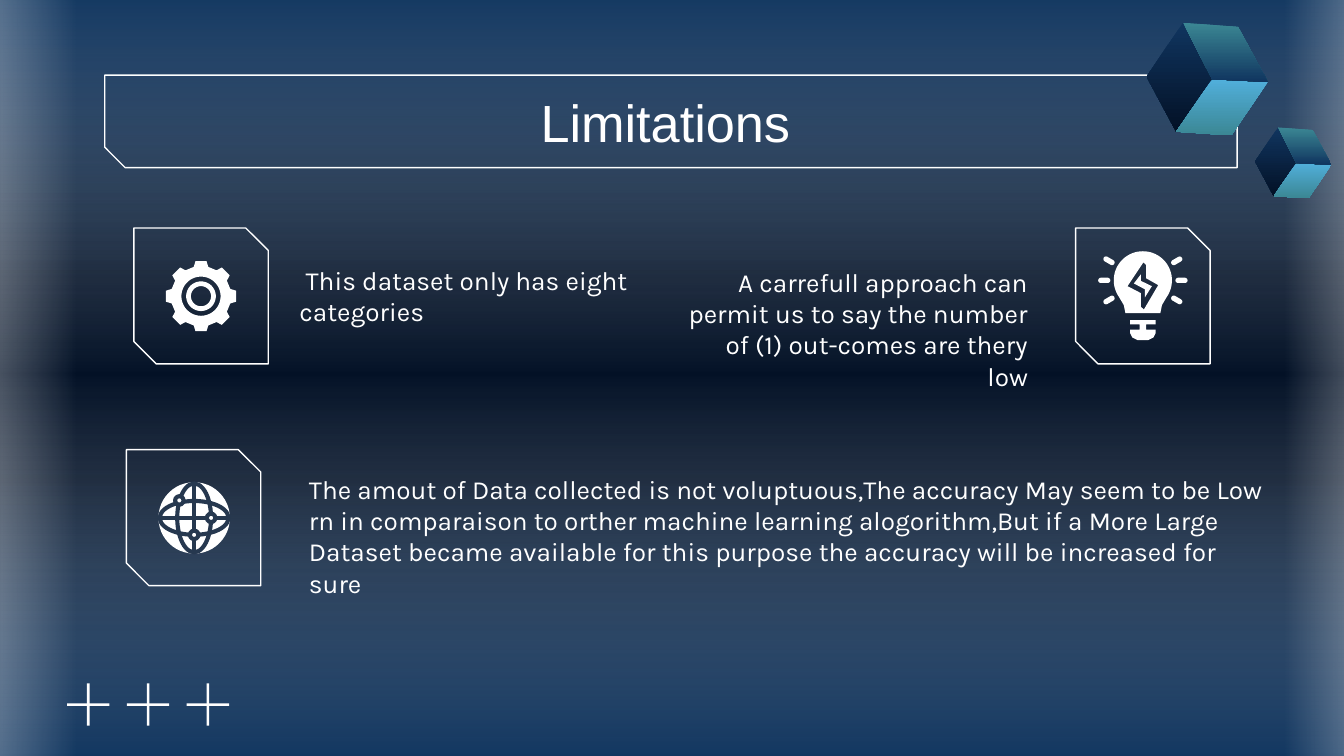
"""Build the Limitations slide with three framed icons and a gradient backdrop."""
from dataclasses import dataclass
from itertools import product
from math import cos, radians, sin

from lxml import etree
from pptx import Presentation
from pptx.dml.color import RGBColor
from pptx.enum.shapes import MSO_CONNECTOR, MSO_SHAPE
from pptx.enum.text import MSO_ANCHOR, PP_ALIGN
from pptx.oxml.ns import qn
from pptx.util import Cm, Pt

RECTANGLE, OVAL = MSO_SHAPE.RECTANGLE, MSO_SHAPE.OVAL
ROUNDED, SNIPPED = MSO_SHAPE.ROUNDED_RECTANGLE, MSO_SHAPE.SNIP_2_DIAG_RECTANGLE
STRAIGHT = MSO_CONNECTOR.STRAIGHT
LEFT, CENTER, RIGHT = PP_ALIGN.LEFT, PP_ALIGN.CENTER, PP_ALIGN.RIGHT
TOP, MIDDLE = MSO_ANCHOR.TOP, MSO_ANCHOR.MIDDLE
WHITE, NAVY, NIGHT, SKY, TEAL = "FFFFFF", "10355F", "031126", "51AFDB", "3B8794"
GLOBE_LINE = "26384F"
DOWNWARD, RIGHTWARD, LEFTWARD = 270, 0, 180

Point = tuple[float, float]


@dataclass
class Stop:
    position: int
    color: str
    opacity: int = 100


@dataclass
class Box:
    left: float
    top: float
    width: float
    height: float

    def lengths(self) -> list:
        return [Cm(value) for value in (self.left, self.top, self.width, self.height)]


@dataclass
class Note:
    text: str
    box: Box
    align: PP_ALIGN = LEFT


@dataclass
class Cube:
    left: float
    top: float
    scale: float


NOTES = [
    Note(" This dataset only has eight categories", Box(5.66, 4.75, 6.43, 1.75)),
    Note("A carrefull approach can permit us to say the number of (1) out-comes are thery low",
         Box(12.98, 4.78, 6.45, 1.35), RIGHT),
    Note("The amout of Data collected is not voluptuous,The accuracy May seem to be Low rn in "
         "comparaison to orther machine learning alogorithm,But if a More Large Dataset became "
         "available for this purpose the accuracy will be increased for sure",
         Box(5.84, 8.69, 18.08, 4.45)),
]
ICON_FRAMES = [Box(left, top, 2.54, 2.57) for left, top in ((2.53, 4.31), (2.39, 8.5), (20.33, 4.31))]
TITLE_FRAME = Box(1.98, 1.42, 21.4, 1.75)
CUBES = [Cube(21.67, 0.43, 1), Cube(23.72, 2.41, 0.63)]
CUBE_FACES = [
    ([(0.69, 0), (0, 1.02), (0.56, 2.06), (1.24, 1.07)], NAVY, NIGHT),
    ([(1.24, 1.07), (2.29, 1.12), (1.6, 2.13), (0.56, 2.06)], SKY, TEAL),
    ([(0.69, 0), (1.73, 0.08), (2.29, 1.12), (1.24, 1.07)], TEAL, NAVY),
]
BOLT_GAP = [(0.01, -0.34), (0.06, -0.29), (0.06, -0.04), (0.29, 0.09),
            (0.02, 0.55), (-0.04, 0.5), (-0.04, 0.24), (-0.29, 0.11)]
BOLT = [(-0.04, -0.11), (-0.17, 0.06), (0.04, 0.17), (0.04, 0.32), (0.17, 0.11), (-0.04, 0.01)]
SOCKET_HALF = [(0.24, 0.75), (0.24, 0.83), (0.06, 0.83), (0.06, 0.93),
               (0.24, 0.93), (0.24, 1), (0.2, 1.08), (0.1, 1.13)]


def rgb(color: str) -> RGBColor:
    return RGBColor.from_string(color)


def paint_gradient(fill, element, stops: list[Stop], angle: int) -> None:
    fill.gradient()
    fill.gradient_angle = angle
    stop_list = next(element.iter(qn("a:gsLst")))
    for child in list(stop_list):
        stop_list.remove(child)
    for stop in stops:
        node = etree.SubElement(stop_list, qn("a:gs"), pos=str(stop.position * 1000))
        color = etree.SubElement(node, qn("a:srgbClr"), val=stop.color)
        if stop.opacity < 100:
            etree.SubElement(color, qn("a:alpha"), val=str(stop.opacity * 1000))


def style(shape, fill: str | None = None, line: str | None = None, weight: float = 0.75) -> None:
    shape.shadow.inherit = False
    if fill:
        shape.fill.solid()
        shape.fill.fore_color.rgb = rgb(fill)
    else:
        shape.fill.background()
    if line:
        shape.line.color.rgb = rgb(line)
        shape.line.width = Pt(weight)
    else:
        shape.line.fill.background()


def add_preset(shapes, kind: MSO_SHAPE, box: Box, **format):
    shape = shapes.add_shape(kind, *box.lengths())
    style(shape, **format)
    return shape


def add_centered(shapes, kind: MSO_SHAPE, center: Point, width: float, height: float, **format):
    box = Box(center[0] - width / 2, center[1] - height / 2, width, height)
    return add_preset(shapes, kind, box, **format)


def add_outline(shapes, origin: Point, contours: list[list[Point]], scale: float = 1):
    placed = [[(Cm(origin[0] + x * scale), Cm(origin[1] + y * scale)) for x, y in contour]
              for contour in contours]
    builder = shapes.build_freeform(*placed[0][0])
    for index, contour in enumerate(placed):
        if index:
            builder.move_to(*contour[0])
        builder.add_line_segments(contour[1:], close=True)
    shape = builder.convert_to_shape()
    style(shape, fill=WHITE)
    return shape


def polar(radius: float, degrees: float) -> Point:
    return radius * cos(radians(degrees)), radius * sin(radians(degrees))


def arc(radius: float, start: int = 0, end: int = 355) -> list[Point]:
    return [polar(radius, degrees) for degrees in range(start, end + 1, 5)]


def write(shape, text: str, *, size: float, font: str, align: PP_ALIGN, anchor: MSO_ANCHOR = TOP,
          side_inset: float = 0) -> None:
    frame = shape.text_frame
    frame.word_wrap = True
    frame.vertical_anchor = anchor
    frame.margin_left = frame.margin_right = Cm(side_inset)
    frame.margin_top = frame.margin_bottom = Cm(0.25)
    paragraph = frame.paragraphs[0]
    paragraph.alignment = align
    run = paragraph.add_run()
    run.text = text
    run.font.size, run.font.name = Pt(size), font
    run.font.color.rgb = rgb(WHITE)


def draw_backdrop(slide) -> None:
    paint_gradient(slide.background.fill, slide.element,
                   [Stop(0, NAVY), Stop(37, NIGHT), Stop(63, NIGHT), Stop(100, NAVY)], DOWNWARD)
    glow = [Stop(0, WHITE, 47), Stop(100, WHITE, 0)]
    veil = [Stop(0, NAVY, 59), Stop(50, WHITE, 0), Stop(100, NAVY, 59)]
    for box, stops, angle in ((Box(0, -0.33, 25.93, 14.76), veil, DOWNWARD),
                              (Box(-1.04, -0.23, 2.49, 14.73), glow, RIGHTWARD),
                              (Box(24.28, -0.33, 2.16, 14.73), glow, LEFTWARD)):
        shape = add_preset(slide.shapes, RECTANGLE, box)
        paint_gradient(shape.fill, shape.element, stops, angle)


def draw_gear(shapes, center: Point) -> None:
    teeth = [polar(radius, tooth + offset) for tooth in range(0, 360, 45)
             for offset, radius in ((-14, 0.57), (-9, 0.67), (9, 0.67), (14, 0.57))]
    add_outline(shapes, center, [teeth, arc(0.37), arc(0.28), arc(0.19)])


def draw_bulb(shapes, center: Point) -> None:
    glass = arc(0.55, 145, 395) + [(0.36, 0.47), (0.33, 0.62), (-0.33, 0.62), (-0.36, 0.47)]
    add_outline(shapes, center, [glass, BOLT_GAP, BOLT])
    add_outline(shapes, center, [SOCKET_HALF + [(-x, y) for x, y in reversed(SOCKET_HALF)]])
    for side, level in product((-1, 1), (-1, 0, 1)):
        reach = 0.64 if level else 0.73
        ray = add_centered(shapes, ROUNDED, (center[0] + side * reach, center[1] + level * 0.37),
                           0.23, 0.1, fill=WHITE)
        ray.adjustments[0] = 0.5
        ray.rotation = 30 * side * level


def draw_globe(shapes, center: Point) -> None:
    x, y = center
    add_centered(shapes, OVAL, center, 1.35, 1.35, fill=WHITE)
    for width, height in ((0.64, 1.3), (1.3, 0.64)):
        add_centered(shapes, OVAL, center, width, height, line=GLOBE_LINE, weight=2.2)
    for across, along in ((0.67, 0), (0, 0.67)):
        line = shapes.add_connector(STRAIGHT, Cm(x - across), Cm(y - along), Cm(x + across), Cm(y + along))
        line.line.color.rgb = rgb(GLOBE_LINE)
        line.line.width = Pt(2.2)
        etree.SubElement(line.element.spPr, qn("a:effectLst"))
    for shift_x, shift_y in ((-0.28, -0.33), (0.32, 0), (0, 0.32)):
        add_centered(shapes, OVAL, (x + shift_x, y + shift_y), 0.16, 0.16,
                     fill=WHITE, line=GLOBE_LINE, weight=2.2)


def draw_cube(shapes, cube: Cube) -> None:
    for points, start, end in CUBE_FACES:
        face = add_outline(shapes, (cube.left, cube.top), [points], cube.scale)
        paint_gradient(face.fill, face.element, [Stop(0, start), Stop(100, end)], DOWNWARD)


def main() -> None:
    presentation = Presentation()
    presentation.slide_width, presentation.slide_height = Cm(25.4), Cm(14.29)
    slide = presentation.slides.add_slide(presentation.slide_layouts[5])
    shapes = slide.shapes
    draw_backdrop(slide)
    for box, snip in [(box, 0.167) for box in ICON_FRAMES] + [(TITLE_FRAME, 0.221)]:
        frame = add_preset(shapes, SNIPPED, box, line=WHITE)
        frame.adjustments[0], frame.adjustments[1] = 0, snip
    title = shapes.title
    title.left, title.top, title.width, title.height = Box(2.01, 1.5, 21.4, 1.6).lengths()
    write(title, "Limitations ", size=28, font="Arial", align=CENTER, anchor=MIDDLE, side_inset=0.25)
    title.element.getparent().append(title.element)
    for note in NOTES:
        write(shapes.add_textbox(*note.box.lengths()), note.text, size=14, font="Karla", align=note.align)
    for index, (width, height) in product(range(3), ((0.8, 0.05), (0.05, 0.8))):
        add_centered(shapes, RECTANGLE, (1.67 + index * 1.13, 13.32), width, height, fill=WHITE)
    for cube in CUBES:
        draw_cube(shapes.add_group_shape().shapes, cube)
    for draw, center in ((draw_bulb, (21.6, 5.3)), (draw_gear, (3.8, 5.6)), (draw_globe, (3.67, 9.79))):
        draw(shapes.add_group_shape().shapes, center)
    presentation.save("out.pptx")


if __name__ == "__main__":
    main()
